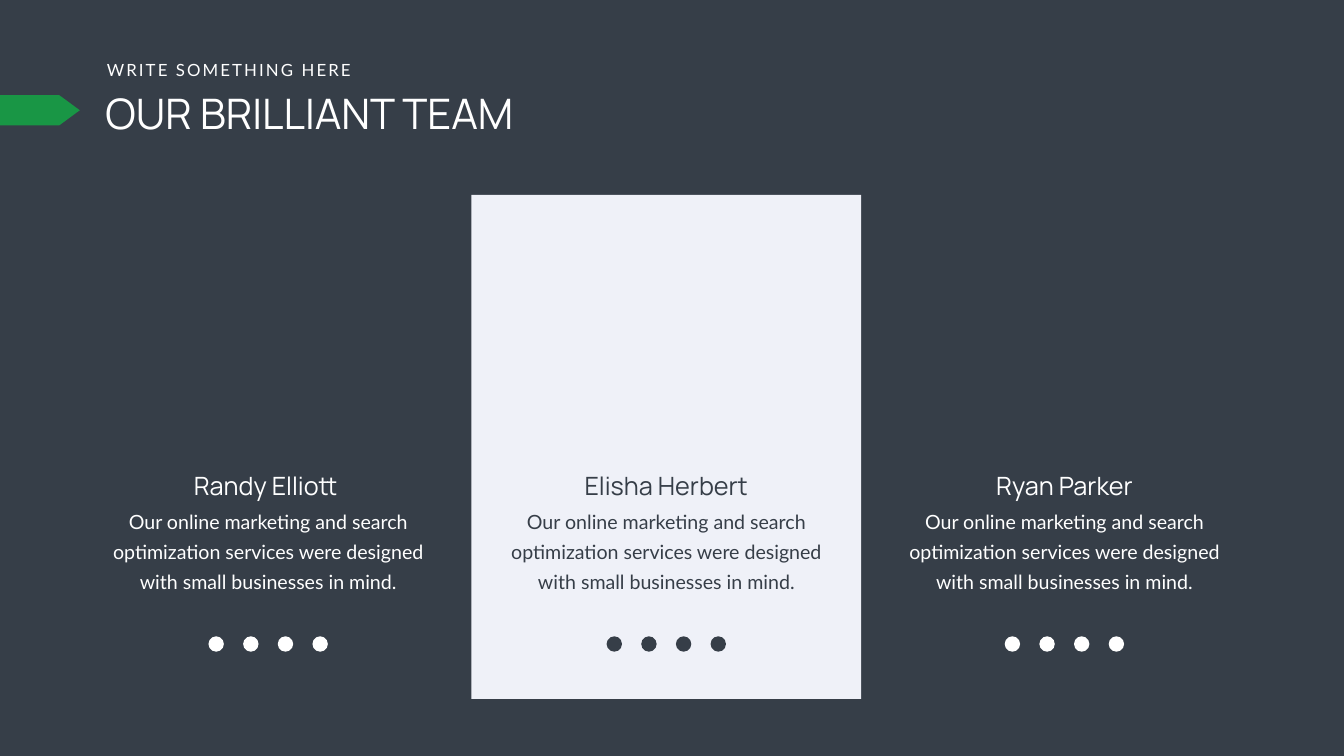
from dataclasses import dataclass

from pptx import Presentation
from pptx.dml.color import RGBColor
from pptx.enum.shapes import MSO_SHAPE as Shape
from pptx.enum.text import MSO_AUTO_SIZE as AutoSize, PP_ALIGN as Align
from pptx.util import Pt


@dataclass(frozen=True)
class Theme:
    dark: str = "363E48"
    light: str = "EFF1F8"
    white: str = "FFFFFF"
    green: str = "199645"
    heading_font: str = "Manrope"
    body_font: str = "Lato"
    title_size: int = 60
    name_size: int = 36
    body_size: int = 28
    kicker_size: int = 24


theme = Theme()

deck = Presentation()
deck.slide_width, deck.slide_height = Pt(1919.52), Pt(1080)
page = deck.slides.add_slide(deck.slide_layouts[6])
page.background.fill.solid()
page.background.fill.fore_color.rgb = RGBColor.from_string(theme.dark)


def add_text(text, left, top, width, height, font, size, color, align=Align.LEFT, wrap=True):
    box = page.shapes.add_textbox(Pt(left), Pt(top), Pt(width), Pt(height))
    frame = box.text_frame
    frame.text = text
    frame.word_wrap = wrap
    frame.auto_size = AutoSize.SHAPE_TO_FIT_TEXT
    para = frame.paragraphs[0]
    para.alignment = align
    span = para.runs[0]
    span.font.name = font
    span.font.size = Pt(size)
    span.font.color.rgb = RGBColor.from_string(color)
    return para


def add_block(kind, left, top, width, height, color):
    block = page.shapes.add_shape(kind, Pt(left), Pt(top), Pt(width), Pt(height))
    block.shadow.inherit = False
    block.fill.solid()
    block.fill.fore_color.rgb = RGBColor.from_string(color)
    block.line.fill.background()
    return block


# Heading with its green marker
add_text("OUR BRILLIANT TEAM", 143.5, 121, 816.5, 80,
         theme.heading_font, theme.title_size, theme.white)
kicker = add_text("WRITE SOMETHING HERE", 145.5, 81.5, 370, 36,
                  theme.body_font, theme.kicker_size, theme.white, wrap=False)
kicker.runs[0]._r.get_or_add_rPr().set("spc", "300")
marker = add_block(Shape.PENTAGON, 0, 136, 114, 43, theme.green)
marker.adjustments[0] = 0.68

# Light card behind the middle member
first_center, column_pitch = 383, 568.6
card_width = 557
add_block(Shape.RECTANGLE, first_center + column_pitch - card_width / 2, 278.6,
          card_width, 720, theme.light)

# Team members: name, description and a row of plain social markers
description = ("Our online marketing and search optimization services "
               "were designed with small businesses in mind.")
members = [
    ("Randy Elliott ", theme.white),
    ("Elisha Herbert", theme.dark),
    ("Ryan Parker", theme.white),
]
name_width, body_width = 256, 492
dot_size, dot_pitch, dot_count = 22, 49.5, 4

for column, (name, color) in enumerate(members):
    center = first_center + column * column_pitch
    body = add_text(description, center - body_width / 2, 715, body_width, 132.5,
                    theme.body_font, theme.body_size, color, Align.CENTER)
    body.line_spacing = Pt(43)
    add_text(name, center - name_width / 2, 669, name_width, 51,
             theme.heading_font, theme.name_size, color, Align.CENTER, wrap=False)
    for index in range(dot_count):
        dot_center = center + (index - (dot_count - 1) / 2) * dot_pitch
        add_block(Shape.OVAL, dot_center - dot_size / 2, 909, dot_size, dot_size, color)

deck.save("out.pptx")
